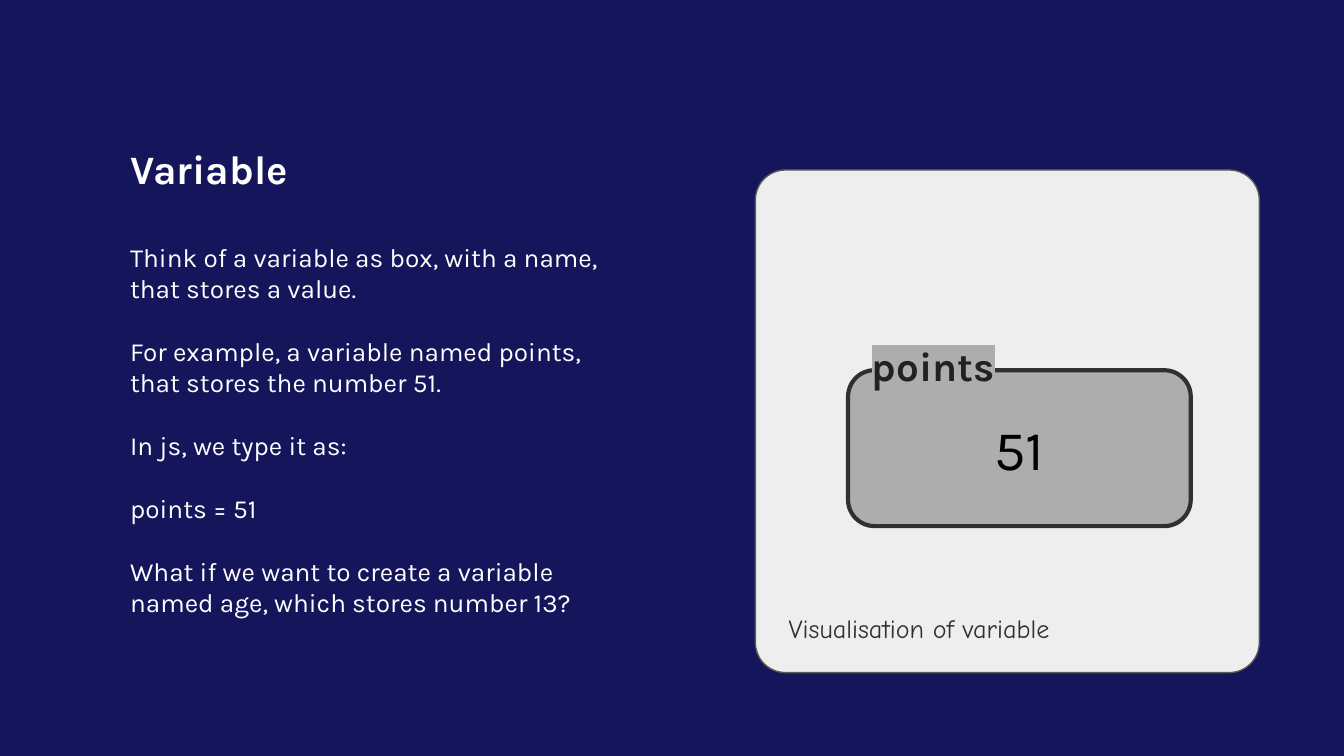
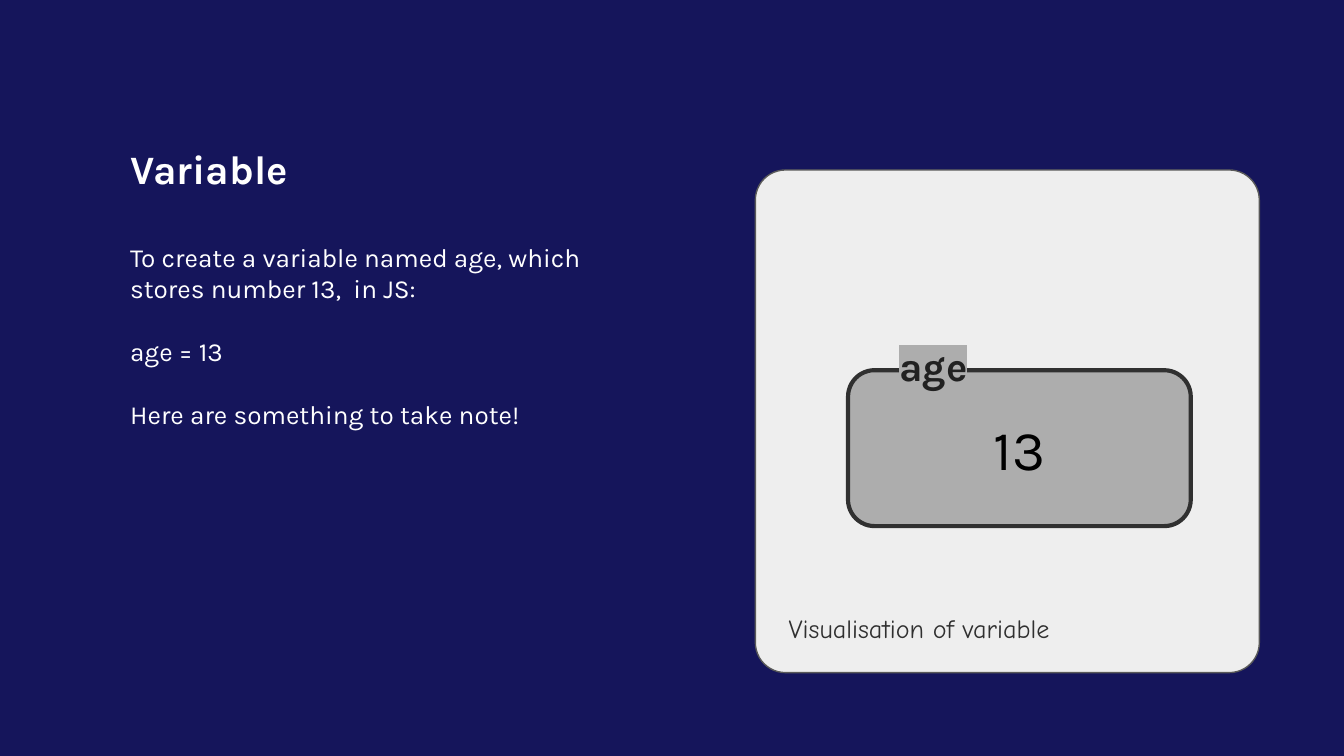
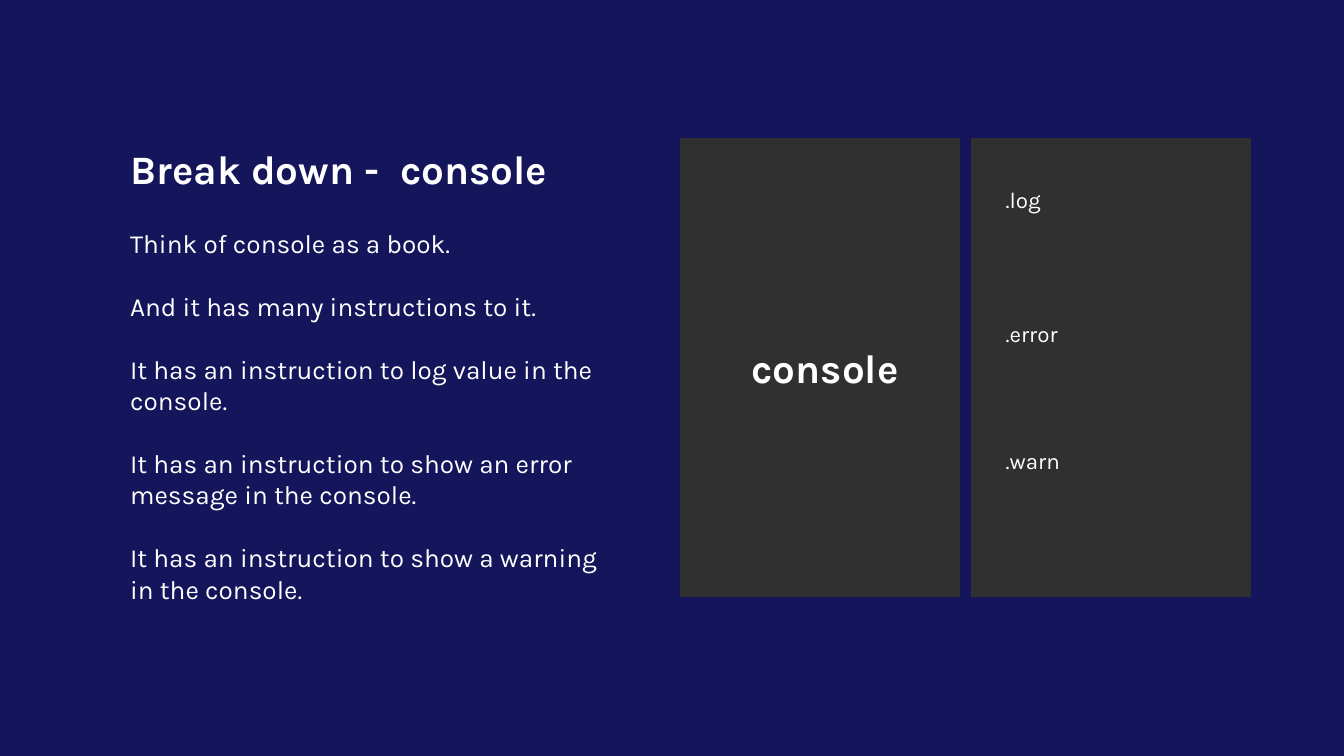
from dataclasses import dataclass

from lxml import etree
from pptx import Presentation
from pptx.dml.color import RGBColor
from pptx.enum.shapes import MSO_SHAPE
from pptx.enum.text import MSO_ANCHOR, MSO_AUTO_SIZE, PP_ALIGN
from pptx.oxml.ns import qn
from pptx.presentation import Presentation as Deck
from pptx.shapes.autoshape import Shape
from pptx.slide import Slide
from pptx.text.text import TextFrame
from pptx.util import Pt

PX = 914400 // 200  # 200 px to the inch


@dataclass(frozen=True)
class TextStyle:
    size: float
    color: str
    font: str = "Karla"
    bold: bool = False
    align: PP_ALIGN = PP_ALIGN.LEFT
    anchor: MSO_ANCHOR = MSO_ANCHOR.MIDDLE
    space_before: float = 0
    highlight: str | None = None


@dataclass(frozen=True)
class ShapeStyle:
    kind: MSO_SHAPE
    fill: str
    line: str
    line_width: float
    corner: float | None = None


@dataclass(frozen=True)
class Theme:
    background: str = "15155B"
    inset: int = 20
    title: TextStyle = TextStyle(21.6, "FFFFFF", bold=True)
    body: TextStyle = TextStyle(14, "FFFFFF", anchor=MSO_ANCHOR.TOP, space_before=16.8)
    value: TextStyle = TextStyle(30, "000000", align=PP_ALIGN.CENTER)
    variable_name: TextStyle = TextStyle(
        21.6, "212121", bold=True, align=PP_ALIGN.CENTER, highlight="ADADAD")
    caption: TextStyle = TextStyle(14, "303030", font="Comic Neue", anchor=MSO_ANCHOR.TOP)
    cover: TextStyle = TextStyle(21.6, "FFFFFF", bold=True, align=PP_ALIGN.CENTER)
    instruction: TextStyle = TextStyle(12, "FFFFFF")
    card: ShapeStyle = ShapeStyle(
        MSO_SHAPE.ROUNDED_RECTANGLE, "EEEEEE", "595959", 0.75, 0.06)
    variable_box: ShapeStyle = ShapeStyle(
        MSO_SHAPE.ROUNDED_RECTANGLE, "ADADAD", "303030", 2.25, 0.17)
    page: ShapeStyle = ShapeStyle(MSO_SHAPE.RECTANGLE, "303030", "303030", 0.75)


@dataclass(frozen=True)
class Box:
    left: int
    top: int
    width: int
    height: int

    def emu(self) -> tuple[int, int, int, int]:
        return self.left * PX, self.top * PX, self.width * PX, self.height * PX


@dataclass(frozen=True)
class VariableSlide:
    explanation: list[str]
    body_height: int
    name: str
    value: str


THEME = Theme()
TITLE_BOX = Box(174, 206, 892, 88)

VARIABLE_SLIDES = [
    VariableSlide(
        ["Think of a variable as box, with a name, that stores a value.",
         "For example, a variable named points, that stores the number 51.",
         "In js, we type it as:",
         "points = 51",
         "What if we want to create a variable named age, which stores number 13?"],
        606, "points", "51"),
    VariableSlide(
        ["To create a variable named age, which stores number 13,  in JS:",
         "age = 13",
         "Here are something to take note!"],
        324, "age", "13"),
]

CONSOLE_EXPLANATION = [
    "Think of console as a book.",
    "And it has many instructions to it.",
    "It has an instruction to log value in the console.",
    "It has an instruction to show an error message in the console.",
    "It has an instruction to show a warning in the console.",
]
INSTRUCTION_TOPS = {".log": 253, ".error": 453, ".warn": 642}


# Shared drawing functions
def write(frame: TextFrame, lines: list[str], style: TextStyle) -> None:
    frame.word_wrap = True
    frame.auto_size = MSO_AUTO_SIZE.NONE
    frame.vertical_anchor = style.anchor
    frame.margin_left = frame.margin_right = THEME.inset * PX
    frame.margin_top = frame.margin_bottom = THEME.inset * PX
    for index, line in enumerate(lines):
        paragraph = frame.add_paragraph() if index else frame.paragraphs[0]
        paragraph.alignment = style.align
        if index:
            paragraph.space_before = Pt(style.space_before)
        paragraph.font.name = style.font
        paragraph.font.size = Pt(style.size)
        paragraph.font.bold = style.bold
        paragraph.font.color.rgb = RGBColor.from_string(style.color)
        run = paragraph.add_run()
        run.text = line
        if style.highlight:
            marker = etree.SubElement(run._r.get_or_add_rPr(), qn("a:highlight"))
            etree.SubElement(marker, qn("a:srgbClr"), val=style.highlight)


def add_text(slide: Slide, box: Box, lines: list[str], style: TextStyle) -> None:
    write(slide.shapes.add_textbox(*box.emu()).text_frame, lines, style)


def add_block(slide: Slide, box: Box, style: ShapeStyle) -> Shape:
    block = slide.shapes.add_shape(style.kind, *box.emu())
    block.shadow.inherit = False
    block.fill.solid()
    block.fill.fore_color.rgb = RGBColor.from_string(style.fill)
    block.line.color.rgb = RGBColor.from_string(style.line)
    block.line.width = Pt(style.line_width)
    if style.corner is not None:
        block.adjustments[0] = style.corner
    return block


def add_titled_slide(deck: Deck, title: str, body: list[str], body_box: Box) -> Slide:
    slide = deck.slides.add_slide(deck.slide_layouts.get_by_name("Title Only"))
    heading = slide.shapes.title
    heading.left, heading.top, heading.width, heading.height = TITLE_BOX.emu()
    write(heading.text_frame, [title], THEME.title)
    add_text(slide, body_box, body, THEME.body)
    return slide


# Slides
def add_variable_slide(deck: Deck, content: VariableSlide) -> None:
    slide = add_titled_slide(deck, "Variable", content.explanation,
                             Box(174, 339, 788, content.body_height))
    add_block(slide, Box(1124, 253, 750, 748), THEME.card)
    variable_box = add_block(slide, Box(1262, 551, 510, 232), THEME.variable_box)
    write(variable_box.text_frame, [content.value], THEME.value)
    add_text(slide, Box(1169, 500, 440, 88), [content.name], THEME.variable_name)
    add_text(slide, Box(1154, 892, 496, 88), ["Visualisation of variable"], THEME.caption)


def add_console_slide(deck: Deck) -> None:
    slide = add_titled_slide(deck, "Break down -  console", CONSOLE_EXPLANATION,
                             Box(174, 319, 754, 654))
    # Open book: cover on the left, instructions on the right
    for page_left in (1013, 1446):
        add_block(slide, Box(page_left, 206, 414, 681), THEME.page)
    add_text(slide, Box(1052, 503, 352, 88), ["console"], THEME.cover)
    for instruction, top in INSTRUCTION_TOPS.items():
        add_text(slide, Box(1477, top, 352, 88), [instruction], THEME.instruction)


def main() -> None:
    deck = Presentation()
    deck.slide_width, deck.slide_height = 2000 * PX, 1125 * PX
    backdrop = deck.slide_master.background.fill
    backdrop.solid()
    backdrop.fore_color.rgb = RGBColor.from_string(THEME.background)
    for content in VARIABLE_SLIDES:
        add_variable_slide(deck, content)
    add_console_slide(deck)
    deck.save("out.pptx")


if __name__ == "__main__":
    main()
